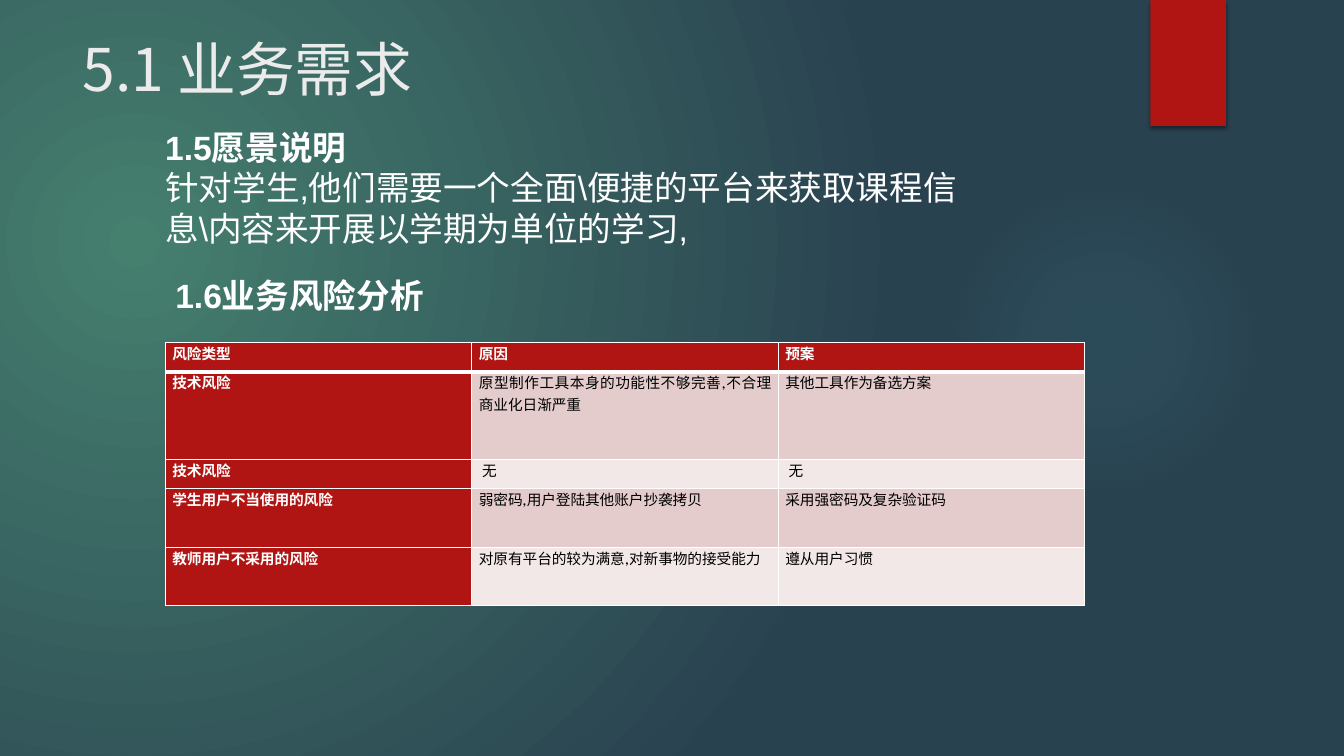
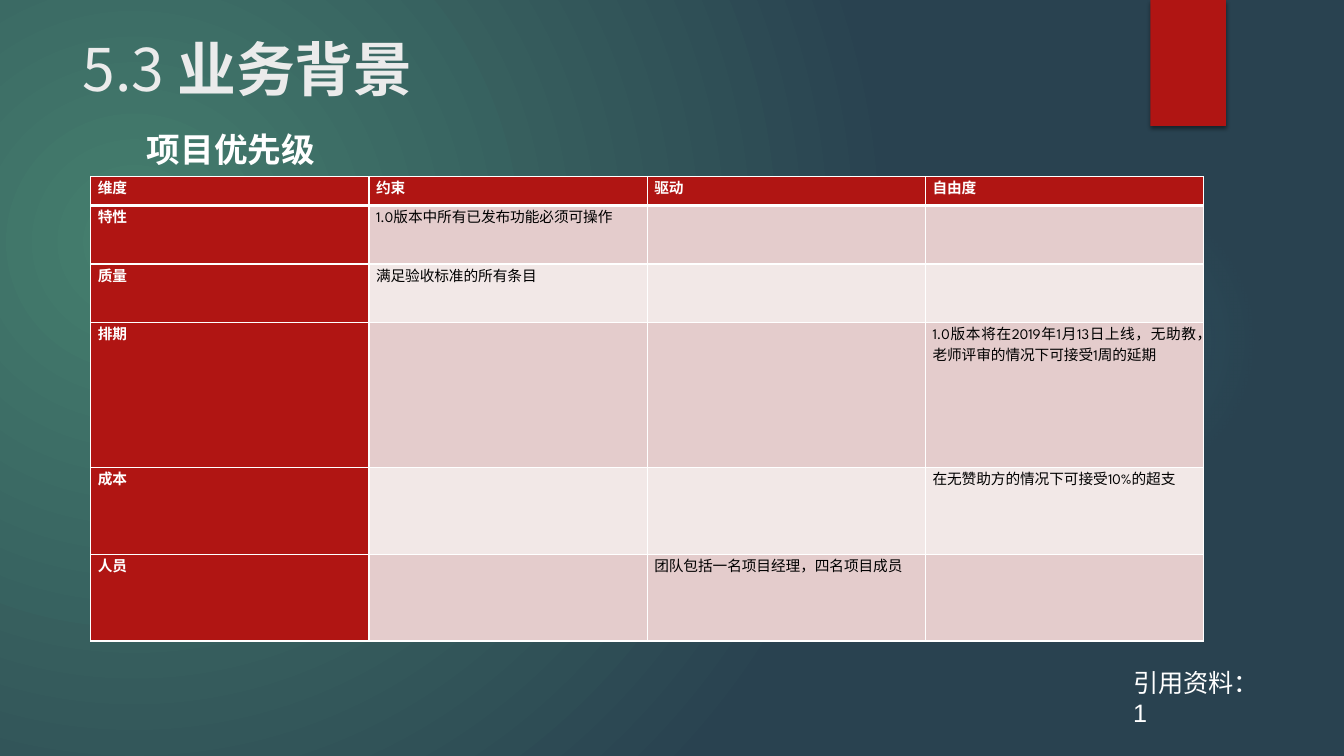
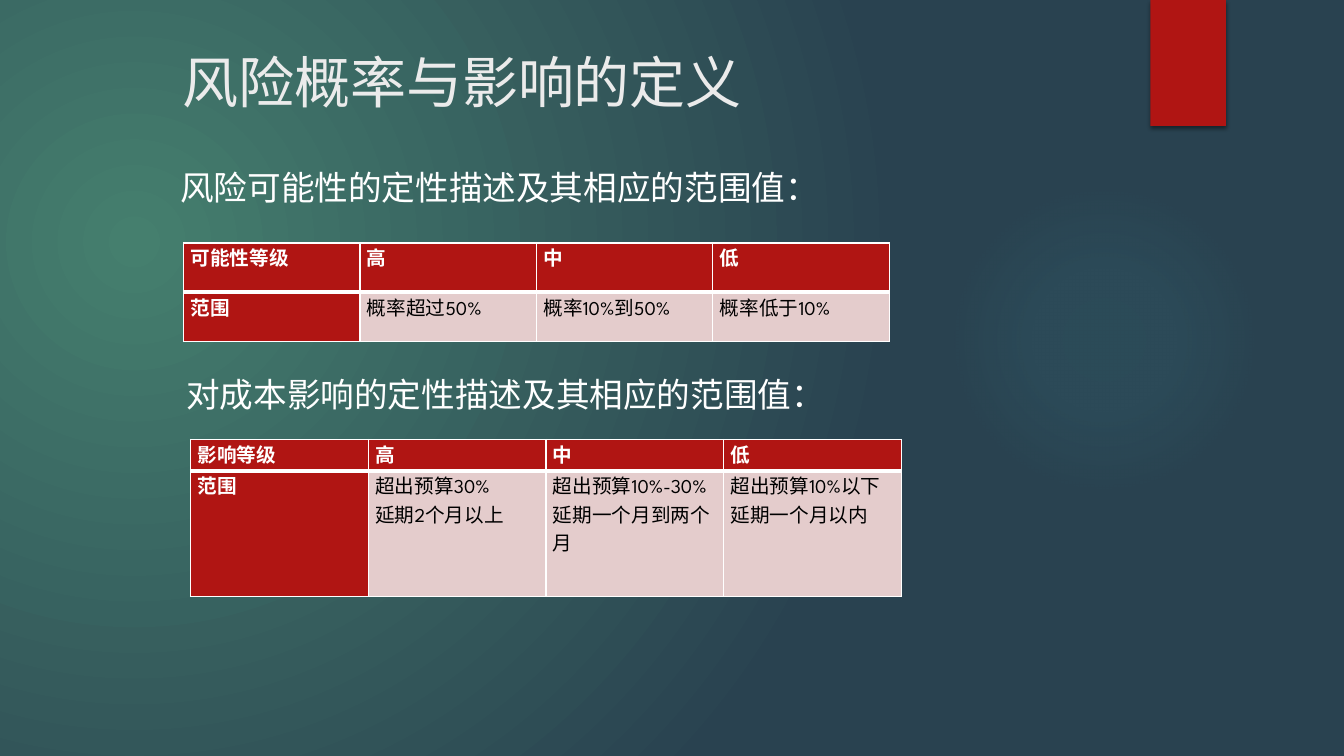
from lxml import etree
from pptx import Presentation
from pptx.dml.color import RGBColor
from pptx.enum.shapes import MSO_SHAPE
from pptx.enum.text import MSO_ANCHOR, PP_ALIGN
from pptx.oxml import parse_xml
from pptx.oxml.ns import qn
from pptx.util import Inches, Pt

ELLIPSE, RECTANGLE = MSO_SHAPE.OVAL, MSO_SHAPE.RECTANGLE
TOP, MIDDLE = MSO_ANCHOR.TOP, MSO_ANCHOR.MIDDLE
LEFT, JUSTIFY = PP_ALIGN.LEFT, PP_ALIGN.JUSTIFY

# Shared look
RED, WHITE, BLACK, TITLE_COLOR = "B01513", "FFFFFF", "000000", "EBEBEB"
BANDS = ["E4CCCC", "F2E8E7"]
CJK, LATIN, TABLE_FONT = "Noto Sans CJK SC", "Arial", "League Spartan"
BACKGROUND = dict(stops=[(0, "457F6E", 100), (100, "294250", 100)],
                  to=(45, 65, 125, 100))
GLOW = dict(stops=[(0, "50B9C1", 7), (36, "50B9C1", 6), (69, "50B9C1", 0)],
            to=(50, 50, 50, 50))

# Content: text is a string, or a list of paragraphs made of (text, bold) spans
PAGES = [
    dict(
        title=dict(text="5.1 业务需求", at=(0.72, 0.35, 10.29, 1.09), size=42, font=CJK),
        texts=[
            dict(text=[[("1.5愿景说明", True)],
                       [("针对学生,他们需要一个全面\\便捷的平台来获取课程"
                         "信息\\内容来开展以学期为单位的学习,", False)]],
                 at=(1.54, 1.21, 8.06, 1.62), font=LATIN, east=LATIN),
            dict(text="1.6业务风险分析", at=(1.64, 2.68, 3, 0.5), bold=True,
                 font=LATIN, east=LATIN),
        ],
        tables=[dict(
            at=(1.64, 3.4), width=9.12, heights=[0.29, 0.87, 0.29, 0.58, 0.58],
            size=10.5, align=JUSTIFY,
            rows=[
                ["风险类型", "原因", "预案"],
                ["技术风险", "原型制作工具本身的功能性不够完善,不合理商业化日渐严重",
                 "其他工具作为备选方案"],
                ["技术风险", " 无", " 无"],
                ["学生用户不当使用的风险", "弱密码,用户登陆其他账户抄袭拷贝",
                 "采用强密码及复杂验证码"],
                ["教师用户不采用的风险", "对原有平台的较为满意,对新事物的接受能力",
                 "遵从用户习惯"],
            ])],
    ),
    dict(
        title=dict(text=[[("5.3 ", False), ("业务背景", True)]],
                   at=(0.72, 0.35, 10.29, 1.09), size=42, font=CJK),
        texts=[
            dict(text="引用资料：1", at=(11.14, 6.57, 1.5, 0.7), size=18,
                 font=LATIN, east=LATIN),
            dict(text="项目优先级", at=(1.36, 1.23, 2.2, 0.5), bold=True, anchor=MIDDLE),
        ],
        tables=[dict(
            at=(0.9, 1.75), width=11.04, heights=[0.29, 0.58, 0.58, 1.44, 0.86, 0.86],
            size=10.5, align=JUSTIFY,
            rows=[
                ["维度", "约束", "驱动", "自由度"],
                ["特性", "1.0版本中所有已发布功能必须可操作", "", ""],
                ["质量", "满足验收标准的所有条目", "", ""],
                ["排期", "", "",
                 "1.0版本将在2019年1月13日上线，无助教，老师评审的情况下可接受1周的延期"],
                ["成本", "", "", "在无赞助方的情况下可接受10%的超支"],
                ["人员", "", "团队包括一名项目经理，四名项目成员", ""],
            ])],
    ),
    dict(
        title=dict(text="风险概率与影响的定义", at=(1.71, 0.5, 9.29, 1.53), size=40,
                   font=LATIN),
        texts=[
            dict(text="风险可能性的定性描述及其相应的范围值：", at=(1.69, 1.61, 7, 0.5),
                 anchor=MIDDLE),
            dict(text="对成本影响的定性描述及其相应的范围值：", at=(1.75, 3.66, 7, 0.5),
                 anchor=MIDDLE),
        ],
        tables=[
            dict(at=(1.82, 2.41), width=7, heights=[0.49, 0.49], size=14, align=LEFT,
                 rows=[["可能性等级", "高", "中", "低"],
                       ["范围", "概率超过50%", "概率10%到50%", "概率低于10%"]]),
            dict(at=(1.89, 4.36), width=7.05, heights=[0.31, 1.25], size=14, align=LEFT,
                 rows=[["影响等级", "高", "中", "低"],
                       ["范围", "超出预算30%\n延期2个月以上",
                        "超出预算10%-30%\n延期一个月到两个月",
                        "超出预算10%以下\n延期一个月以内"]]),
        ],
    ),
]


def rgb(color):
    return RGBColor.from_string(color)


def drawing_xml(tag, body, attributes=""):
    space = "http://schemas.openxmlformats.org/drawingml/2006/main"
    return parse_xml(f'<a:{tag} xmlns:a="{space}" {attributes}>{body}</a:{tag}>')


def color_xml(color, alpha=100):
    return f'<a:srgbClr val="{color}"><a:alpha val="{alpha * 1000}"/></a:srgbClr>'


def set_radial_gradient(fill, owner, stops, to):
    """Fill with a circular gradient; owner is the element that holds the fill."""
    fill.gradient()
    linear = next(owner.iter(qn("a:gradFill")))
    stop_xml = "".join(f'<a:gs pos="{position * 1000}">{color_xml(color, alpha)}</a:gs>'
                       for position, color, alpha in stops)
    edges = " ".join(f'{side}="{value * 1000}"' for side, value in zip("ltrb", to))
    radial = drawing_xml(
        "gradFill",
        f'<a:gsLst>{stop_xml}</a:gsLst>'
        f'<a:path path="circle"><a:fillToRect {edges}/></a:path>',
        'rotWithShape="1"')
    linear.getparent().replace(linear, radial)


def write_text(frame, text, size=24, font=CJK, east=CJK, color=WHITE, bold=False,
               align=LEFT, spacing=None):
    if isinstance(text, str):
        text = [[(line, bold)] for line in text.split("\n")]
    for number, spans in enumerate(text):
        para = frame.add_paragraph() if number else frame.paragraphs[0]
        para.alignment = align
        if spacing:
            para.line_spacing = spacing
        para.font.size = Pt(size)
        for words, is_bold in spans:
            if not words:
                continue
            span = para.add_run()
            span.text = words
            span.font.size = Pt(size)
            span.font.bold = is_bold
            span.font.color.rgb = rgb(color)
            span.font.name = font
            properties = span.font.fill and span._r.get_or_add_rPr()
            etree.SubElement(properties, qn("a:ea")).set("typeface", east)


def add_text(page, text, at, anchor=TOP, **text_format):
    box = page.shapes.add_textbox(*map(Inches, at))
    box.text_frame.word_wrap = True
    box.text_frame.vertical_anchor = anchor
    write_text(box.text_frame, text, **text_format)


def add_decor(page):
    # Soft glow on the right
    glow = page.shapes.add_shape(ELLIPSE, *map(Inches, (9.41, 1.83, 3.08, 3.08)))
    glow.shadow.inherit = False
    glow.line.fill.background()
    set_radial_gradient(glow.fill, glow.element, **GLOW)
    # Red ribbon at the top
    ribbon = page.shapes.add_shape(RECTANGLE, *map(Inches, (11.41, 0, 0.75, 1.25)))
    ribbon.shadow.inherit = False
    ribbon.fill.solid()
    ribbon.fill.fore_color.rgb = rgb(RED)
    ribbon.line.fill.background()
    effects = next(ribbon.element.iter(qn("a:effectLst")))
    effects.append(drawing_xml(
        "outerShdw", color_xml("000000", 45),
        f'blurRad="{Pt(3)}" dist="{Pt(2)}" dir="5400000" algn="ctr" rotWithShape="0"'))


def set_borders(cell, widths):
    properties = cell._tc.get_or_add_tcPr()
    for index, (side, width) in enumerate(widths.items()):
        line = drawing_xml(f"ln{side}", f'<a:solidFill>{color_xml(WHITE)}</a:solidFill>',
                           f'w="{Pt(width)}"')
        properties.insert(index, line)


def add_grid(page, at, width, heights, size, align, rows):
    columns = len(rows[0])
    frame = page.shapes.add_table(len(rows), columns, *map(Inches, at),
                                  Inches(width), Inches(sum(heights)))
    table = frame.table
    table.first_row = table.horz_banding = False
    for column in table.columns:
        column.width = Inches(width / columns)
    for row_number, (height, texts) in enumerate(zip(heights, rows)):
        table.rows[row_number].height = Inches(height)
        for column_number, text in enumerate(texts):
            cell = table.cell(row_number, column_number)
            heading = row_number == 0 or column_number == 0
            cell.margin_left = cell.margin_right = Inches(0.07)
            cell.margin_top = cell.margin_bottom = 0
            cell.fill.solid()
            cell.fill.fore_color.rgb = rgb(RED if heading else BANDS[(row_number - 1) % 2])
            set_borders(cell, {"L": 1, "R": 1,
                               "T": 3 if row_number == 1 else 1,
                               "B": 3 if row_number == 0 else 1})
            write_text(cell.text_frame, text, size=size, font=TABLE_FONT, align=align,
                       color=WHITE if heading else BLACK, bold=heading)


def main():
    deck = Presentation()
    deck.slide_width, deck.slide_height = Inches(13.33), Inches(7.5)
    master = deck.slide_master
    set_radial_gradient(master.background.fill, master.element, **BACKGROUND)
    for content in PAGES:
        page = deck.slides.add_slide(deck.slide_layouts[6])
        add_decor(page)
        add_text(page, **content["title"], color=TITLE_COLOR, spacing=0.9)
        for text in content["texts"]:
            add_text(page, **text)
        for table in content["tables"]:
            add_grid(page, **table)
    deck.save("out.pptx")


if __name__ == "__main__":
    main()
